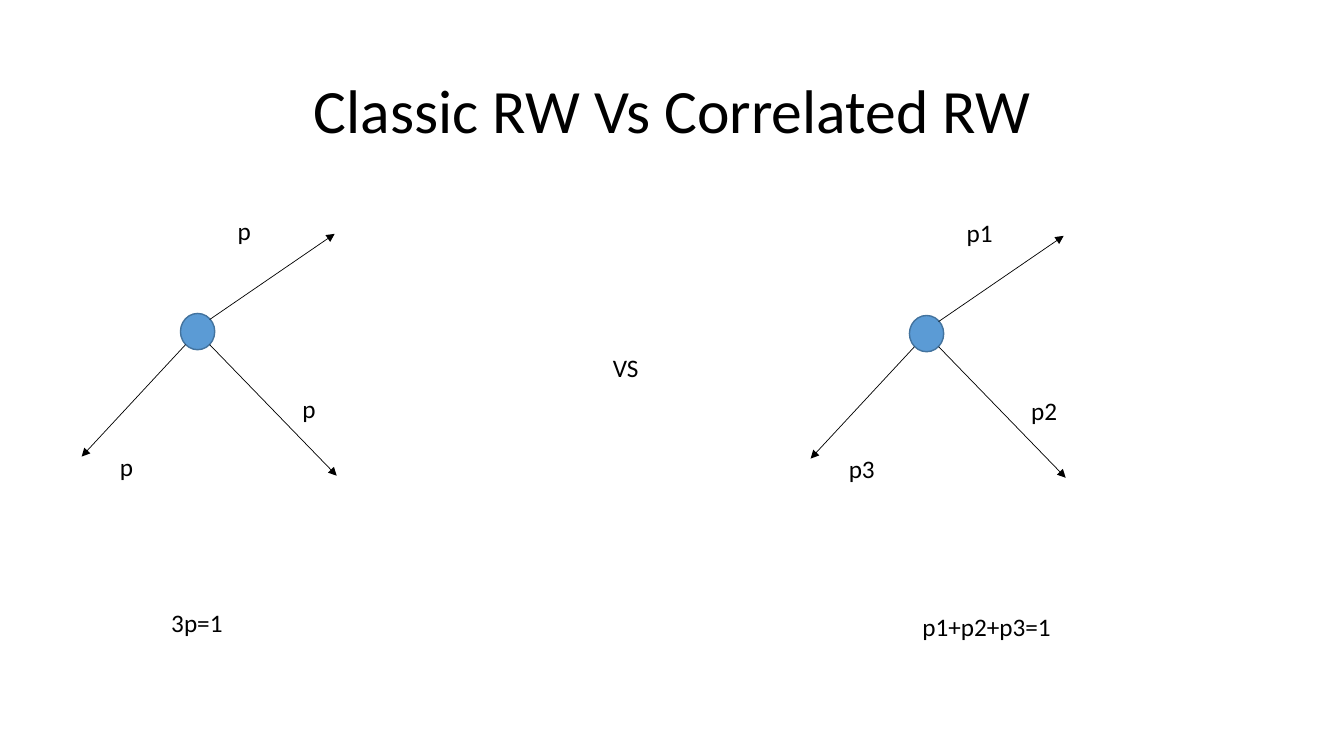
from lxml import etree
from pptx import Presentation
from pptx.dml.color import RGBColor
from pptx.enum.shapes import MSO_CONNECTOR, MSO_SHAPE
from pptx.enum.text import MSO_ANCHOR, MSO_AUTO_SIZE, PP_ALIGN
from pptx.oxml.ns import qn
from pptx.util import Inches, Pt

STRAIGHT = MSO_CONNECTOR.STRAIGHT
OVAL = MSO_SHAPE.OVAL
LEFT, CENTER = PP_ALIGN.LEFT, PP_ALIGN.CENTER
MIDDLE = MSO_ANCHOR.MIDDLE
NO_FIT, GROW = MSO_AUTO_SIZE.NONE, MSO_AUTO_SIZE.SHAPE_TO_FIT_TEXT

# Content
TITLE = "Classic RW Vs Correlated RW"
VERSUS = ("VS", 5.98, 3.45, 0.46)
WALKS = [
    {"at": (1.79, 3.11), "steps": ["p", "p", "p"], "label_width": 0.34,
     "total": ("3p=1", 1.6, 5.98, 0.72)},
    {"at": (9.02, 3.13), "steps": ["p1", "p2", "p3"], "label_width": 0.46,
     "total": ("p1+p2+p3=1", 9.05, 6.02, 1.49)},
]
# Each step, relative to the walker: arrow start, arrow end, label corner
STEPS = [
    ((0.29, 0.06), (1.53, -0.79), (0.47, -1.02)),
    ((0.29, 0.31), (1.55, 1.61), (1.11, 0.74)),
    ((0.05, 0.31), (-0.98, 1.42), (-0.7, 1.32)),
]
WALKER_SIZE = (0.34, 0.36)
LABEL_HEIGHT = 0.4
FONT = "Calibri"
COLORS = {"text": "000000", "arrow": "000000",
          "walker": "5B9BD5", "outline": "43739E"}


def color(name):
    return RGBColor.from_string(COLORS[name])


def write(tf, text, size=18, align=LEFT, spacing=None):
    p = tf.paragraphs[0]
    p.alignment = align
    p.line_spacing = spacing
    r = p.add_run()
    r.text = text
    r.font.name = FONT
    r.font.size = Pt(size)
    r.font.color.rgb = color("text")


def add_label(s, text, x, y, width):
    box = s.shapes.add_textbox(Inches(x), Inches(y),
                               Inches(width), Inches(LABEL_HEIGHT))
    tf = box.text_frame
    tf.word_wrap = False
    tf.auto_size = GROW
    write(tf, text)


def add_arrow(s, x1, y1, x2, y2):
    arrow = s.shapes.add_connector(STRAIGHT, Inches(x1), Inches(y1),
                                   Inches(x2), Inches(y2))
    arrow.line.color.rgb = color("arrow")
    arrow.line.width = Pt(0.5)
    ln = arrow.line._get_or_add_ln()
    etree.SubElement(ln, qn("a:tailEnd"), type="triangle")
    etree.SubElement(arrow._element.spPr, qn("a:effectLst"))


def add_walker(s, x, y):
    width, height = WALKER_SIZE
    sp = s.shapes.add_shape(OVAL, Inches(x), Inches(y),
                            Inches(width), Inches(height))
    sp.shadow.inherit = False
    sp.fill.solid()
    sp.fill.fore_color.rgb = color("walker")
    sp.line.color.rgb = color("outline")
    sp.line.width = Pt(1)


def main():
    prs = Presentation()
    prs.slide_width, prs.slide_height = Inches(13.33), Inches(7.5)
    s = prs.slides.add_slide(prs.slide_layouts[5])

    # Title
    title = s.shapes.title
    title.left, title.top = Inches(0.92), Inches(0.4)
    title.width, title.height = Inches(11.5), Inches(1.45)
    title.text_frame.vertical_anchor = MIDDLE
    title.text_frame.auto_size = NO_FIT
    write(title.text_frame, TITLE, size=44, align=CENTER, spacing=0.9)

    # The two walks, with their step probabilities
    for walk in WALKS:
        x, y = walk["at"]
        add_walker(s, x, y)
        for text, (start, end, label) in zip(walk["steps"], STEPS):
            add_arrow(s, x + start[0], y + start[1], x + end[0], y + end[1])
            add_label(s, text, x + label[0], y + label[1], walk["label_width"])
        add_label(s, *walk["total"])

    add_label(s, *VERSUS)
    prs.save("out.pptx")


if __name__ == "__main__":
    main()
